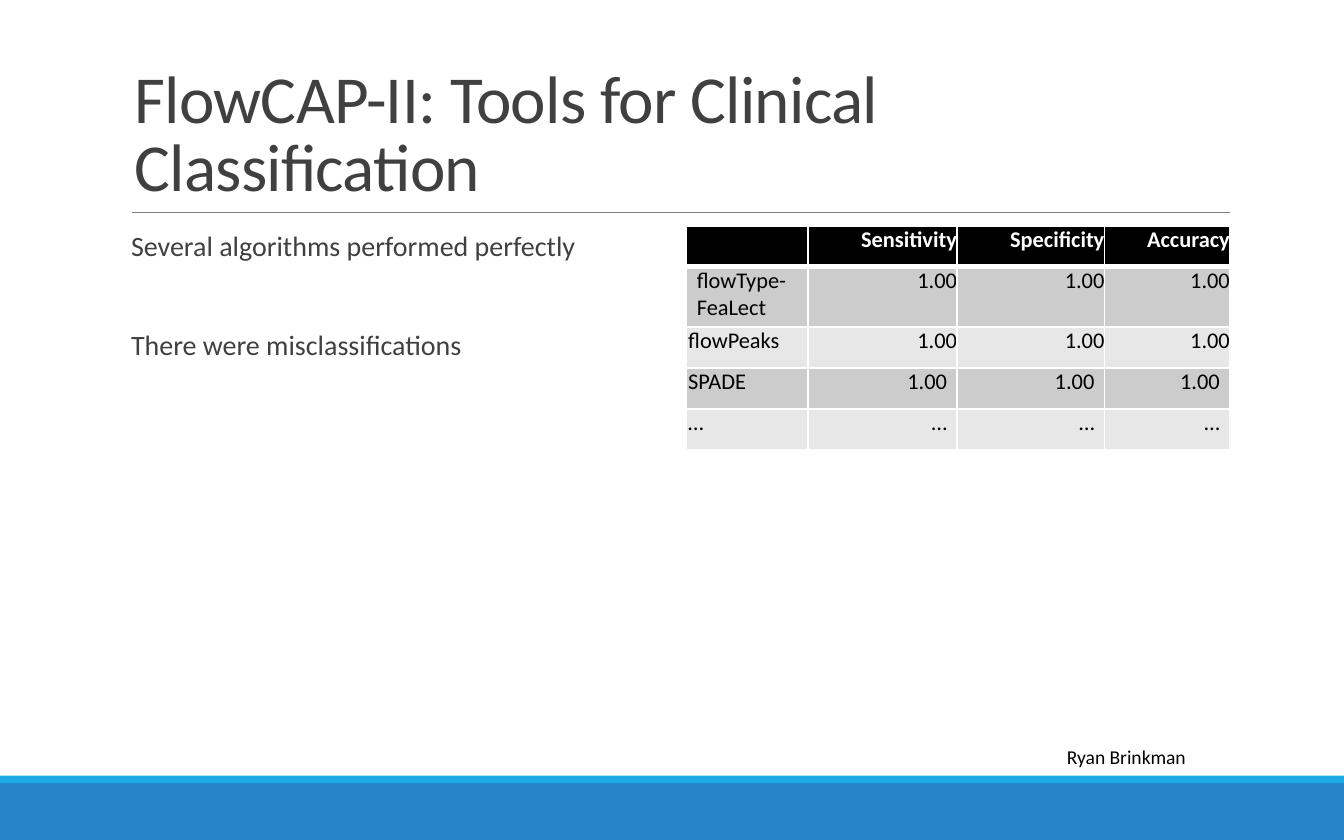
from dataclasses import dataclass

from lxml import etree
from pptx import Presentation
from pptx.dml.color import RGBColor
from pptx.enum.shapes import MSO_CONNECTOR, MSO_SHAPE
from pptx.enum.text import MSO_ANCHOR, MSO_AUTO_SIZE, PP_ALIGN
from pptx.oxml.ns import qn
from pptx.util import Pt

RECT, STRAIGHT = MSO_SHAPE.RECTANGLE, MSO_CONNECTOR.STRAIGHT
LEFT, RIGHT = PP_ALIGN.LEFT, PP_ALIGN.RIGHT
TOP, BOTTOM = MSO_ANCHOR.TOP, MSO_ANCHOR.BOTTOM
NO_FIT = MSO_AUTO_SIZE.NONE

FONT = "Calibri"
BLUE = RGBColor(0x26, 0x83, 0xC6)
CYAN = RGBColor(0x1C, 0xAD, 0xE4)
GREY = RGBColor(0x80, 0x80, 0x80)
DARK = RGBColor(0x40, 0x40, 0x40)
BLACK = RGBColor(0x00, 0x00, 0x00)
WHITE = RGBColor(0xFF, 0xFF, 0xFF)
BANDS = (RGBColor(0xCC, 0xCC, 0xCC), RGBColor(0xE7, 0xE7, 0xE7))

SLIDE_W, SLIDE_H = 720, 450
MARGIN_X = 64.8
CONTENT_Y = 121
TABLE_X = 367.5
HEADERS = ("", "Sensitivity", "Specificity", "Accuracy")
COL_WIDTHS = (65.4, 79.8, 79, 67.2)
ROW_HEIGHT = 22


@dataclass
class Band:
    top: float
    height: float
    color: RGBColor


@dataclass
class Result:
    name: str
    value: str
    height: float = ROW_HEIGHT
    indent: float = 1.2
    right: float = 0


BANDS_AT_FOOT = (Band(419.6, 30.4, BLUE), Band(415.5, 4.1, CYAN))
RESULTS = (
    Result("flowType-FeaLect", "1.00", height=32.2, indent=5.8),
    Result("flowPeaks", "1.00"),
    Result("SPADE", "1.00", right=5.4),
    Result("…", "…", right=5.4),
)


def add_run(p, text: str, size: float, color: RGBColor, bold: bool = False):
    r = p.add_run()
    r.text = text
    r.font.name, r.font.size, r.font.bold = FONT, Pt(size), bold
    r.font.color.rgb = color
    return r


def add_band(s, band: Band) -> None:
    sp = s.shapes.add_shape(RECT, 0, Pt(band.top), Pt(SLIDE_W), Pt(band.height))
    sp.shadow.inherit = False
    sp.fill.solid()
    sp.fill.fore_color.rgb = band.color
    sp.line.fill.background()


def add_rule(s, x1: float, x2: float, y: float) -> None:
    line = s.shapes.add_connector(STRAIGHT, Pt(x1), Pt(y), Pt(x2), Pt(y))
    line.line.color.rgb = GREY
    line.line.width = Pt(0.5)
    etree.SubElement(line._element.spPr, qn("a:effectLst"))


def add_borders(cell, top: float, bottom: float) -> None:
    tc_pr = cell._tc.get_or_add_tcPr()
    for side, width in (("L", 1), ("R", 1), ("T", top), ("B", bottom)):
        ln = etree.SubElement(tc_pr, qn(f"a:ln{side}"), w=str(Pt(width)))
        fill = etree.SubElement(ln, qn("a:solidFill"))
        etree.SubElement(fill, qn("a:srgbClr"), val=str(WHITE))


def format_cell(cell, text: str, fill: RGBColor, color: RGBColor, align,
                left: float = 0, right: float = 0, bold: bool = False,
                top_line: float = 1, bottom_line: float = 1) -> None:
    add_borders(cell, top_line, bottom_line)
    cell.fill.solid()
    cell.fill.fore_color.rgb = fill
    cell.margin_left, cell.margin_right = Pt(left), Pt(right)
    cell.margin_top = cell.margin_bottom = 0
    cell.vertical_anchor = TOP
    p = cell.text_frame.paragraphs[0]
    p.alignment = align
    if text:
        add_run(p, text, 12, color, bold)


def add_results_table(s) -> None:
    heights = [ROW_HEIGHT] + [result.height for result in RESULTS]
    table = s.shapes.add_table(
        len(heights), len(HEADERS), Pt(TABLE_X), Pt(CONTENT_Y),
        Pt(sum(COL_WIDTHS)), Pt(sum(heights))).table
    for column, width in zip(table.columns, COL_WIDTHS):
        column.width = Pt(width)
    for row, height in zip(table.rows, heights):
        row.height = Pt(height)
    for col, header in enumerate(HEADERS):
        format_cell(table.cell(0, col), header, BLACK, WHITE, RIGHT,
                    bold=True, bottom_line=3)
    for row, result in enumerate(RESULTS, start=1):
        fill = BANDS[(row - 1) % 2]
        top_line = 3 if row == 1 else 1
        format_cell(table.cell(row, 0), result.name, fill, BLACK, LEFT,
                    left=result.indent, top_line=top_line)
        for col in range(1, len(HEADERS)):
            format_cell(table.cell(row, col), result.value, fill, BLACK, RIGHT,
                        right=result.right, top_line=top_line)


def set_title(s, text: str) -> None:
    title = s.shapes.title
    title.left, title.top = Pt(MARGIN_X), Pt(18.7)
    title.width, title.height = Pt(594), Pt(95)
    tf = title.text_frame
    tf.auto_size, tf.word_wrap, tf.vertical_anchor = NO_FIT, True, BOTTOM
    p = tf.paragraphs[0]
    p.alignment, p.line_spacing = LEFT, 0.85
    r = add_run(p, text, 36, DARK)
    r.font._element.set("spc", "-40")


def add_points(s, points: tuple[str, ...]) -> None:
    sp = s.shapes.add_textbox(Pt(MARGIN_X), Pt(CONTENT_Y), Pt(291.6), Pt(264))
    tf = sp.text_frame
    tf.word_wrap = True
    tf.margin_left, tf.margin_right = Pt(5.4), 0
    for i, point in enumerate(points):
        p = tf.add_paragraph() if i else tf.paragraphs[0]
        p.line_spacing = 0.9
        p.space_before = Pt(36.5 if i else 0)
        add_run(p, point, 15, DARK)


def add_credit(s, text: str) -> None:
    sp = s.shapes.add_textbox(Pt(564.5), Pt(395.3), Pt(87), Pt(20))
    sp.text_frame.word_wrap = False
    add_run(sp.text_frame.paragraphs[0], text, 10.5, BLACK)


def main() -> None:
    prs = Presentation()
    prs.slide_width, prs.slide_height = Pt(SLIDE_W), Pt(SLIDE_H)
    s = prs.slides.add_slide(prs.slide_layouts[5])

    # Footer bands and title rule
    for band in BANDS_AT_FOOT:
        add_band(s, band)
    add_rule(s, 70.6, 658.8, 113.8)

    # Title, points, results and credit
    set_title(s, "FlowCAP-II: Tools for Clinical Classification")
    add_points(s, ("Several algorithms performed perfectly",
                   "There were misclassifications"))
    add_results_table(s)
    add_credit(s, "Ryan Brinkman")

    prs.save("out.pptx")


if __name__ == "__main__":
    main()
